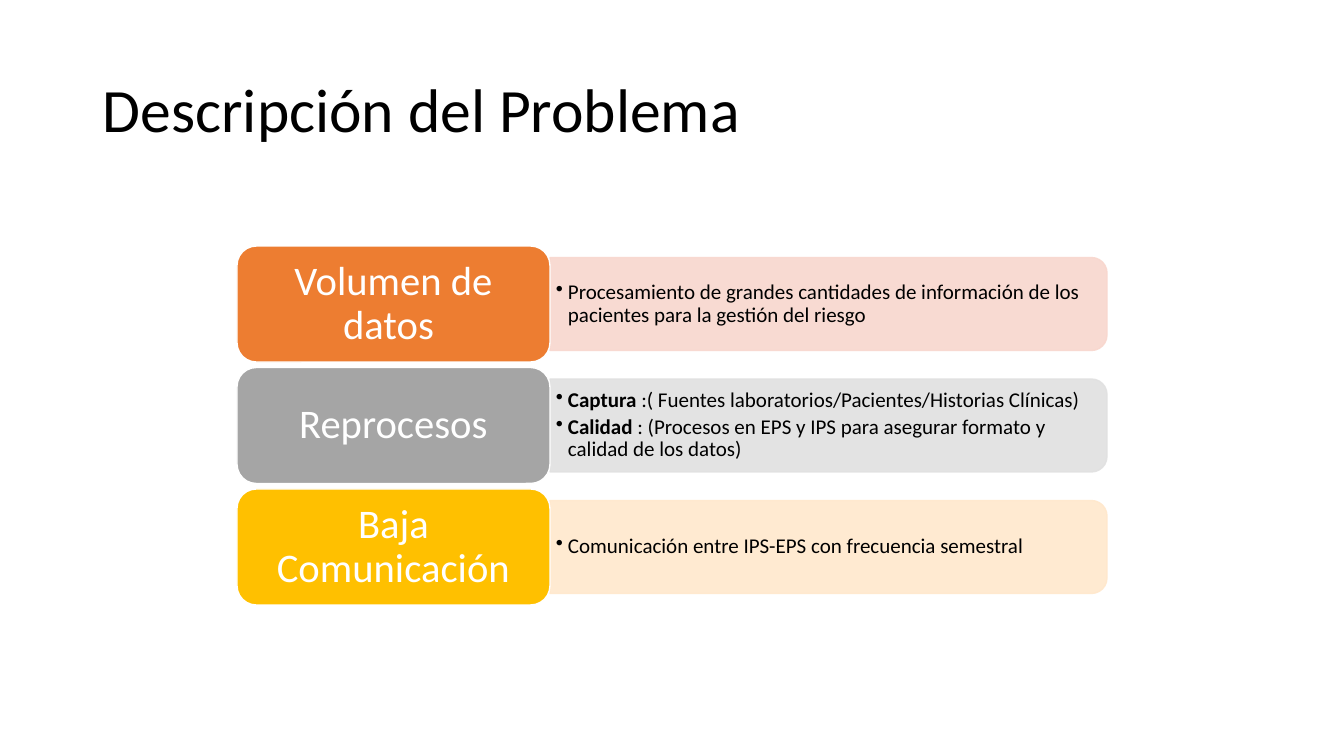
from lxml.etree import SubElement
from pptx import Presentation
from pptx.dml.color import RGBColor
from pptx.enum.shapes import MSO_SHAPE
from pptx.enum.text import MSO_ANCHOR, PP_ALIGN
from pptx.oxml.ns import qn
from pptx.util import Pt

SLIDE_W, SLIDE_H = 1344, 756
SCALE = 12192000 / SLIDE_W  # EMU in one px

BLACK = RGBColor(0x00, 0x00, 0x00)
WHITE = RGBColor(0xFF, 0xFF, 0xFF)
ORANGE = RGBColor(0xED, 0x7D, 0x31)
ORANGE_TINT = RGBColor(0xF8, 0xD7, 0xCE)
GRAY = RGBColor(0xA5, 0xA5, 0xA5)
GRAY_TINT = RGBColor(0xE1, 0xE1, 0xE1)
YELLOW = RGBColor(0xFF, 0xC0, 0x00)
YELLOW_TINT = RGBColor(0xFF, 0xE8, 0xCC)

# Heading, tile colour, panel colour, bullets as (bold part, plain part)
PROBLEMS = [
    ("Volumen de datos\t", ORANGE, ORANGE_TINT, [
        ("", "Procesamiento de grandes cantidades de información de los "
             "pacientes para la gestión del riesgo")]),
    ("Reprocesos", GRAY, GRAY_TINT, [
        ("Captura ", ":( Fuentes laboratorios/Pacientes/Historias Clínicas)"),
        ("Calidad ", ": (Procesos en EPS y IPS para asegurar formato y "
                     "calidad de los datos)")]),
    ("Baja Comunicación", YELLOW, YELLOW_TINT, [
        ("", "Comunicación entre IPS-EPS con frecuencia semestral")]),
]


def px(n):
    return round(n * SCALE)


def set_attrs(obj, values):
    for name, value in values.items():
        setattr(obj, name, value)


def set_frame(tf, inset_x, inset_y):
    set_attrs(tf, {
        "word_wrap": True, "vertical_anchor": MSO_ANCHOR.MIDDLE,
        "margin_left": px(inset_x), "margin_right": px(inset_x),
        "margin_top": px(inset_y), "margin_bottom": px(inset_y)})


def add_text(p, text, size, color, bold=False):
    p.line_spacing = 0.9
    r = p.add_run()
    r.text = text
    set_attrs(r.font, {"name": "Calibri", "size": Pt(size), "bold": bold})
    r.font.color.rgb = color


def add_filled(slide, kind, box, fill, line):
    s = slide.shapes.add_shape(kind, *map(px, box))
    s.shadow.inherit = False
    s.fill.solid()
    s.fill.fore_color.rgb = fill
    s.line.color.rgb = line
    s.line.width = Pt(1)
    return s


def add_title(slide, x, y, w, h):
    tf = slide.shapes.add_textbox(*map(px, (x, y, w, h))).text_frame
    set_frame(tf, 10, 5)
    add_text(tf.paragraphs[0], "Descripción del Problema", 44, BLACK)


def add_panel(slide, x, y, w, h, tint, bullets):
    # Turned a quarter so that the rounded corners face right
    box = (x + (w - h) / 2, y + (h - w) / 2, h, w)
    s = add_filled(slide, MSO_SHAPE.ROUND_2_SAME_RECTANGLE, box, tint, tint)
    s.rotation = 90
    for color in s._element.spPr.iter(qn("a:srgbClr")):
        SubElement(color, qn("a:alpha"), val="90000")

    # Bulleted text
    tf = slide.shapes.add_textbox(*map(px, (x, y + 5, w - 4, h - 10))).text_frame
    set_frame(tf, 6, 3)
    for i, (lead, rest) in enumerate(bullets):
        p = tf.add_paragraph() if i else tf.paragraphs[0]
        if lead:
            add_text(p, lead, 15, BLACK, bold=True)
        add_text(p, rest, 15, BLACK)
        p.space_after = Pt(2.7)
        pPr = p._p.get_or_add_pPr()
        pPr.set("marL", str(px(12)))
        pPr.set("indent", str(px(-12)))
        SubElement(pPr, qn("a:buChar"), char="•")


def add_tile(slide, x, y, w, h, heading, color):
    s = add_filled(slide, MSO_SHAPE.ROUNDED_RECTANGLE, (x, y, w, h), color, WHITE)
    set_frame(s.text_frame, 12, 6)
    p = s.text_frame.paragraphs[0]
    p.alignment = PP_ALIGN.CENTER
    add_text(p, heading, 29, WHITE)


def add_problem_list(slide, x, y, w, h):
    tile_w, tile_h, panel_h = 313, 116, 93
    pitch = (h - tile_h) / (len(PROBLEMS) - 1)
    for i, (heading, color, tint, bullets) in enumerate(PROBLEMS):
        top = y + i * pitch
        add_panel(slide, x + tile_w, top + (tile_h - panel_h) / 2,
                  w - tile_w, panel_h, tint, bullets)
        add_tile(slide, x, top, tile_w, tile_h, heading, color)


def main():
    prs = Presentation()
    set_attrs(prs, {"slide_width": px(SLIDE_W), "slide_height": px(SLIDE_H)})
    slide = prs.slides.add_slide(prs.slide_layouts[6])
    add_title(slide, 93, 40, 1159, 146)
    add_problem_list(slide, 237, 246, 870, 359)
    prs.save("out.pptx")


if __name__ == "__main__":
    main()
